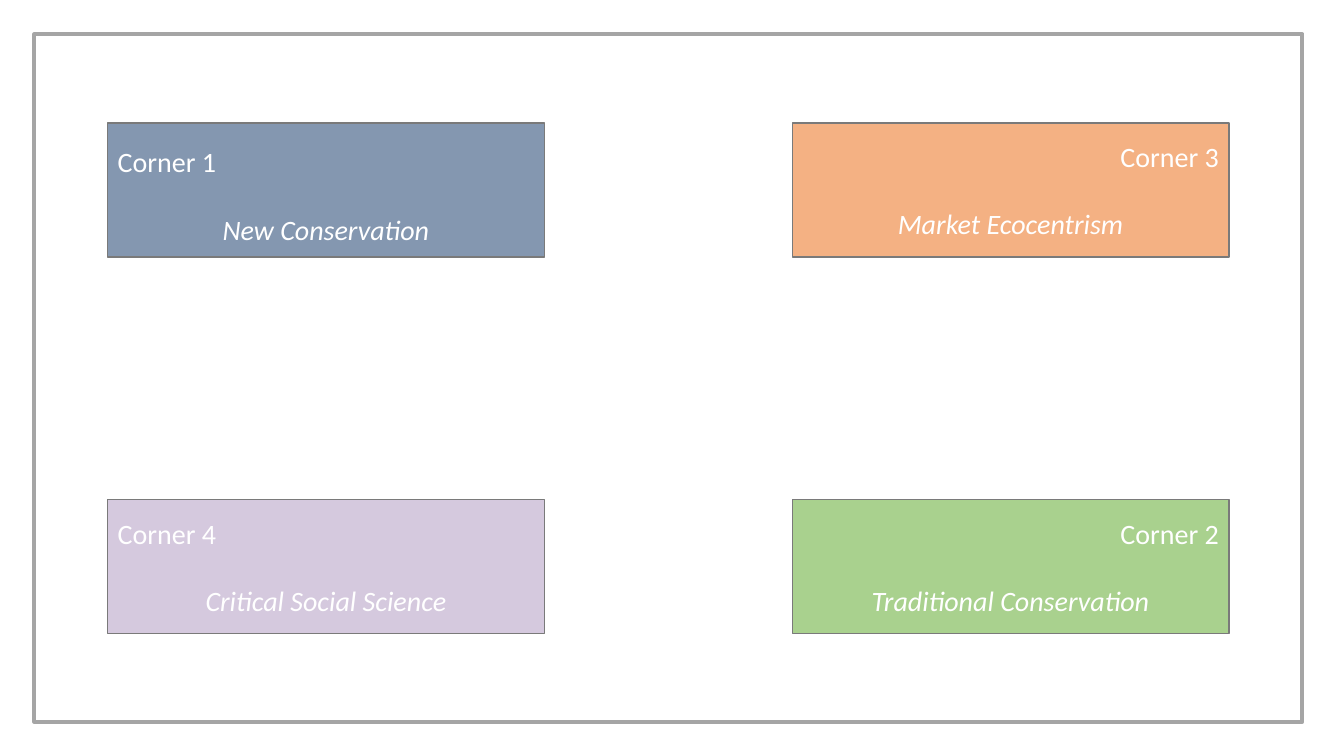
"""Build a slide with four framed corners, each naming a conservation position."""
import pptx
import pptx.dml.color
import pptx.enum.shapes
import pptx.enum.text
import pptx.util

Pt = pptx.util.Pt
ALIGN = pptx.enum.text.PP_ALIGN
ANCHOR = pptx.enum.text.MSO_ANCHOR


def color(hex_string):
    return pptx.dml.color.RGBColor.from_string(hex_string)


def add_rectangle(left, top, width, height, line_color, line_width):
    shape = slide.shapes.add_shape(
        pptx.enum.shapes.MSO_SHAPE.RECTANGLE, Pt(left), Pt(top), Pt(width), Pt(height))
    shape.shadow.inherit = False
    shape.fill.background()
    shape.line.color.rgb = color(line_color)
    shape.line.width = Pt(line_width)
    return shape


presentation = pptx.Presentation()
presentation.slide_width = Pt(960)
presentation.slide_height = Pt(540)
slide = presentation.slides.add_slide(presentation.slide_layouts[6])

add_rectangle(24.5, 24.5, 905.8, 491, "A5A5A5", 3)

LEFT, RIGHT = 77, 566
TOP, BOTTOM = 88, 357
corners = [
    ("Corner 1", "New Conservation", LEFT, TOP, "8497B0", ANCHOR.TOP, 1.5),
    ("Corner 3", "Market Ecocentrism", RIGHT, TOP, "F4B183", ANCHOR.MIDDLE, 1),
    ("Corner 4", "Critical Social Science", LEFT, BOTTOM, "D5C9DE", ANCHOR.MIDDLE, 1),
    ("Corner 2", "Traditional Conservation", RIGHT, BOTTOM, "A9D18E", ANCHOR.MIDDLE, 1),
]

for label, position, left, top, fill, anchor, label_spacing in corners:
    box = add_rectangle(left, top, 311.8, 95.5, "7A7A7A", 1)
    box.fill.solid()
    box.fill.fore_color.rgb = color(fill)
    text_frame = box.text_frame
    text_frame.word_wrap = True
    text_frame.vertical_anchor = anchor
    text_frame.text = f"{label}\n{position}"
    for paragraph in text_frame.paragraphs:
        paragraph.font.name = "Calibri"
        paragraph.font.size = Pt(20)
        paragraph.font.color.rgb = color("FFFFFF")
    label_paragraph, position_paragraph = text_frame.paragraphs
    label_paragraph.alignment = ALIGN.LEFT if left == LEFT else ALIGN.RIGHT
    label_paragraph.line_spacing = label_spacing
    position_paragraph.alignment = ALIGN.CENTER
    position_paragraph.line_spacing = 2.0
    position_paragraph.font.italic = True

presentation.save("out.pptx")
